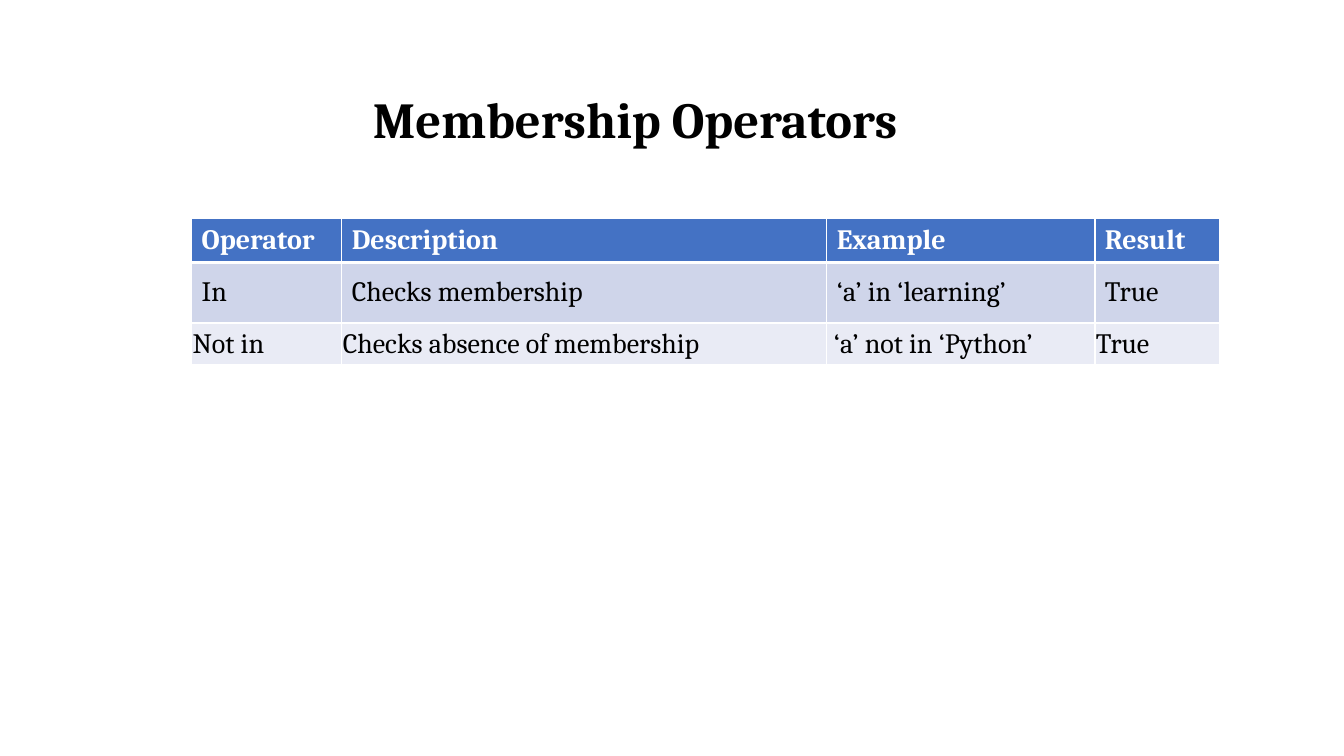
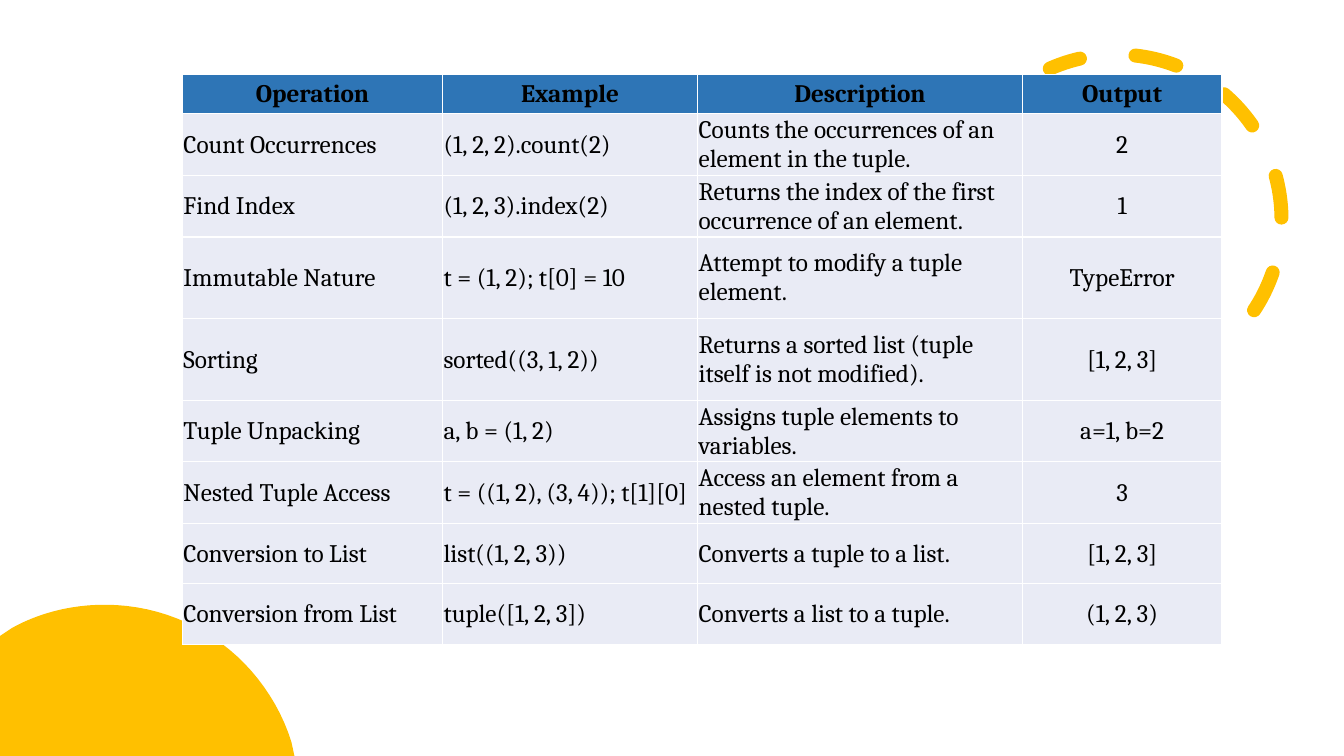
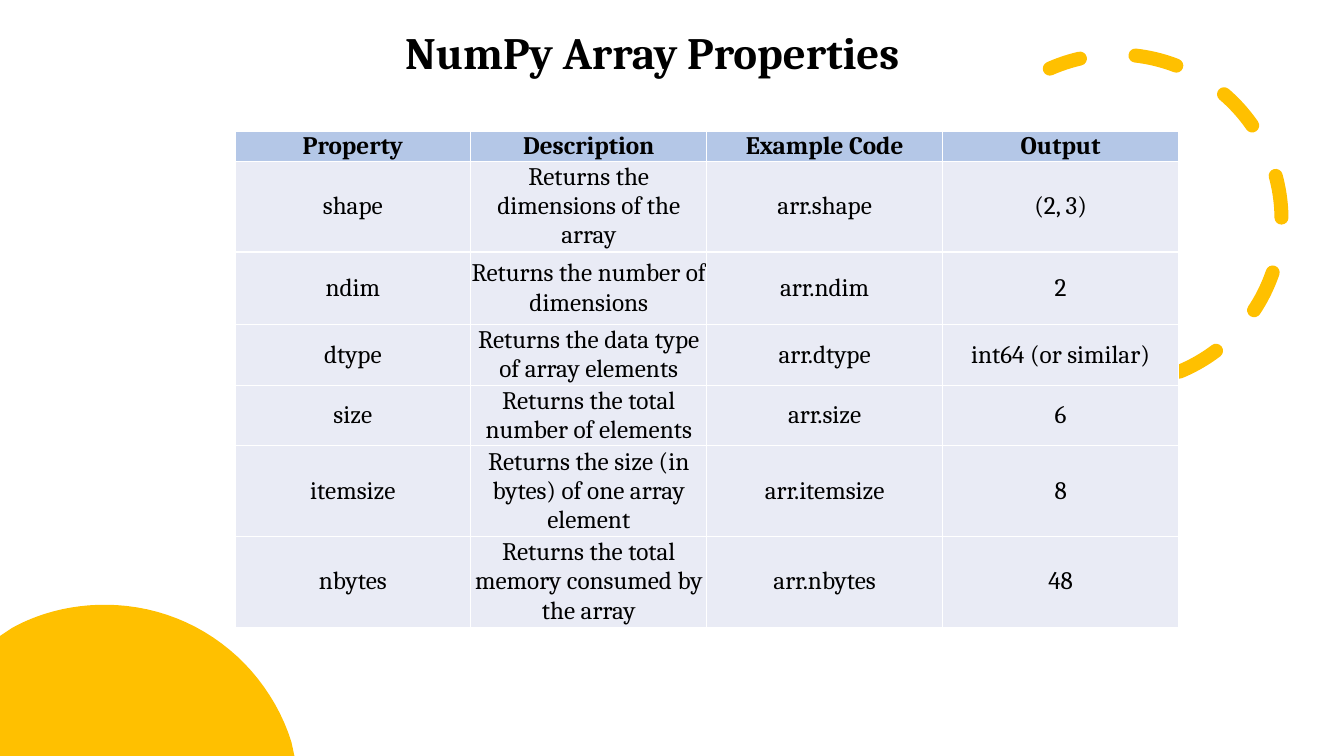
from dataclasses import dataclass

from lxml import etree
from pptx import Presentation
from pptx.dml.color import RGBColor
from pptx.enum import dml, shapes, text
from pptx.oxml import ns
from pptx.util import Inches, Pt

FONT = "Cambria"
BLACK, WHITE, AMBER, PALE = "000000", "FFFFFF", "FFC000", "E9EBF5"
LEFT, CENTER = text.PP_ALIGN.LEFT, text.PP_ALIGN.CENTER
SIDES = ("left", "right", "top", "bottom")
DEFAULT_INSETS = (0.1, 0.1, 0.05, 0.05)
THIN_INSETS = (0.01, 0.01, 0.01, 0.01)
FLUSH_INSETS = (0.01, 0.01, 0.01, 0)
NO_INSETS = (0, 0, 0, 0)


@dataclass(frozen=True)
class Title:
    words: str
    left: float
    top: float
    width: float
    height: float
    size: int


@dataclass(frozen=True)
class RowStyle:
    fill: str
    insets: tuple[float, ...]
    color: str = BLACK
    bold: bool = False
    spacing: float = 1.0
    top_line: float = 1
    bottom_line: float = 1


@dataclass(frozen=True)
class Grid:
    left: float
    top: float
    widths: list[float]
    heights: list[float]
    size: int
    rows: list[tuple[str, ...]]
    styles: list[RowStyle]
    aligns: list[text.PP_ALIGN]
    header_align: text.PP_ALIGN


def rgb(color: str) -> RGBColor:
    return RGBColor.from_string(color)


def write(tf, words: str, size: int, color: str, bold: bool, align=LEFT, spacing: float = 1.0) -> None:
    p = tf.paragraphs[0]
    p.alignment, p.line_spacing = align, spacing
    r = p.add_run()
    r.text = words
    for name, value in {"name": FONT, "size": Pt(size), "bold": bold}.items():
        setattr(r.font, name, value)
    r.font.color.rgb = rgb(color)


def add_title(s, title: Title) -> None:
    box = (title.left, title.top, title.width, title.height)
    tf = s.shapes.add_textbox(*map(Inches, box)).text_frame
    tf.word_wrap = True
    tf.vertical_anchor = text.MSO_ANCHOR.MIDDLE
    write(tf, title.words, title.size, BLACK, True)


def set_borders(cell, style: RowStyle) -> None:
    """Put white lines on all four sides; they must come before the fill."""
    props = cell._tc.get_or_add_tcPr()
    widths = {"lnL": 1, "lnR": 1, "lnT": style.top_line, "lnB": style.bottom_line}
    for i, (tag, width) in enumerate(widths.items()):
        ln = etree.Element(ns.qn(f"a:{tag}"), w=str(Pt(width)))
        fill = etree.SubElement(ln, ns.qn("a:solidFill"))
        etree.SubElement(fill, ns.qn("a:srgbClr"), val=WHITE)
        props.insert(i, ln)


def add_grid(s, grid: Grid) -> None:
    box = (grid.left, grid.top, sum(grid.widths), sum(grid.heights))
    table = s.shapes.add_table(len(grid.rows), len(grid.widths), *map(Inches, box)).table
    table.horz_banding = False
    for column, width in zip(table.columns, grid.widths):
        column.width = Inches(width)
    for i, (row, style) in enumerate(zip(grid.rows, grid.styles)):
        table.rows[i].height = Inches(grid.heights[i])
        for j, words in enumerate(row):
            cell = table.cell(i, j)
            cell.vertical_anchor = text.MSO_ANCHOR.MIDDLE
            for side, inset in zip(SIDES, style.insets):
                setattr(cell, f"margin_{side}", Inches(inset))
            cell.fill.solid()
            cell.fill.fore_color.rgb = rgb(style.fill)
            set_borders(cell, style)
            align = grid.aligns[j] if i else grid.header_align
            write(cell.text_frame, words, grid.size, style.color, style.bold, align, style.spacing)


def bezier(p0, p1, p2, p3, steps: int = 24) -> list[tuple[float, float]]:
    """Points along a cubic curve, without its start."""
    points = []
    for k in range(1, steps + 1):
        t = k / steps
        weights = ((1 - t) ** 3, 3 * t * (1 - t) ** 2, 3 * t * t * (1 - t), t ** 3)
        points.append(tuple(sum(w * p[axis] for w, p in zip(weights, (p0, p1, p2, p3)))
                            for axis in (0, 1)))
    return points


def add_dashed_arc(s) -> None:
    sp = s.shapes.add_shape(shapes.MSO_SHAPE.ARC, *map(Inches, (9.44, 0.54, 3.27, 3.27)))
    sp.shadow.inherit = False
    # Angles are stored in 1/60000 degree, adjustments are scaled by 100000.
    sp.adjustments[0], sp.adjustments[1] = 144.42 * 0.6, 0
    sp.rotation = 66.1
    sp._element.spPr.find(ns.qn("a:xfrm")).set("flipH", "1")
    sp.fill.background()
    sp.line.color.rgb = rgb(AMBER)
    sp.line.width = Pt(10)
    sp.line.dash_style = dml.MSO_LINE.DASH
    sp.line._get_or_add_ln().set("cap", "rnd")


def add_corner_disc(s) -> None:
    crown = (1.04, 6)
    outline = [
        *bezier(crown, (0.71, 6), (0.39, 6.08), (0.12, 6.23)),
        (0, 6.31), (0, 7.5), (2.92, 7.5), (2.89, 7.36),
        *bezier((2.89, 7.36), (2.64, 6.57), (1.91, 6), crown),
    ]
    builder = s.shapes.build_freeform(*map(Inches, crown))
    builder.add_line_segments([(Inches(x), Inches(y)) for x, y in outline], close=True)
    sp = builder.convert_to_shape()
    sp.shadow.inherit = False
    sp.fill.solid()
    sp.fill.fore_color.rgb = rgb(AMBER)
    sp.line.fill.background()


def add_slide(prs, grid: Grid, title: Title | None = None, decorated: bool = True) -> None:
    s = prs.slides.add_slide(prs.slide_layouts[6])
    if decorated:
        add_dashed_arc(s)
        add_corner_disc(s)
    if title:
        add_title(s, title)
    add_grid(s, grid)


MEMBERSHIP = Grid(
    1.9, 2.17, [1.49, 4.81, 2.66, 1.24], [0.41, 0.6, 0.41], 20,
    [
        ("Operator", "Description", "Example", "Result"),
        ("In", "Checks membership", "‘a’ in ‘learning’", "True"),
        ("Not in", "Checks absence of membership", " ‘a’ not in ‘Python’", "True"),
    ],
    [
        RowStyle("4472C4", DEFAULT_INSETS, WHITE, True, bottom_line=3),
        RowStyle("CFD5EA", DEFAULT_INSETS, top_line=3),
        RowStyle(PALE, THIN_INSETS, spacing=1.07),
    ],
    [LEFT] * 4, LEFT,
)

TUPLES = Grid(
    1.81, 0.74, [2.58, 2.53, 3.22, 1.98],
    [0.39, 0.58, 0.58, 0.81, 0.81, 0.58, 0.58, 0.6, 0.6], 18,
    [
        ("Operation", "Example", "Description", "Output"),
        ("Count Occurrences", "(1, 2, 2).count(2)",
         "Counts the occurrences of an element in the tuple.", "2"),
        ("Find Index", "(1, 2, 3).index(2)",
         "Returns the index of the first occurrence of an element.", "1"),
        ("Immutable Nature", "t = (1, 2); t[0] = 10",
         "Attempt to modify a tuple element.", "TypeError"),
        ("Sorting", "sorted((3, 1, 2))",
         "Returns a sorted list (tuple itself is not modified).", "[1, 2, 3]"),
        ("Tuple Unpacking", "a, b = (1, 2)",
         "Assigns tuple elements to variables.", "a=1, b=2"),
        ("Nested Tuple Access", "t = ((1, 2), (3, 4)); t[1][0]",
         "Access an element from a nested tuple.", "3"),
        ("Conversion to List", "list((1, 2, 3))", "Converts a tuple to a list.", "[1, 2, 3]"),
        ("Conversion from List", "tuple([1, 2, 3])", "Converts a list to a tuple.", "(1, 2, 3)"),
    ],
    [RowStyle("2E75B6", FLUSH_INSETS, bold=True)] + [RowStyle(PALE, FLUSH_INSETS)] * 8,
    [LEFT, LEFT, LEFT, CENTER], CENTER,
)

ARRAYS = Grid(
    2.33, 1.3, [2.34] * 4, [0.3, 0.89, 0.72, 0.6, 0.6, 0.89, 0.89], 18,
    [
        ("Property", "Description", "Example Code", "Output"),
        ("shape", "Returns the dimensions of the array", "arr.shape", "(2, 3)"),
        ("ndim", "Returns the number of dimensions", "arr.ndim", "2"),
        ("dtype", "Returns the data type of array elements", "arr.dtype", "int64 (or similar)"),
        ("size", "Returns the total number of elements", "arr.size", "6"),
        ("itemsize", "Returns the size (in bytes) of one array element", "arr.itemsize", "8"),
        ("nbytes", "Returns the total memory consumed by the array", "arr.nbytes", "48"),
    ],
    [RowStyle("B4C7E7", NO_INSETS, bold=True)] + [RowStyle(PALE, NO_INSETS)] * 6,
    [CENTER] * 4, CENTER,
)


def main() -> None:
    prs = Presentation()
    prs.slide_width, prs.slide_height = Inches(13.33), Inches(7.5)
    add_slide(prs, MEMBERSHIP, Title("Membership Operators", 3.6, 0.82, 5.59, 0.71, 36),
              decorated=False)
    add_slide(prs, TUPLES)
    add_slide(prs, ARRAYS, Title("NumPy Array Properties", 3.92, 0.19, 6.67, 0.64, 32))
    prs.save("out.pptx")


if __name__ == "__main__":
    main()
